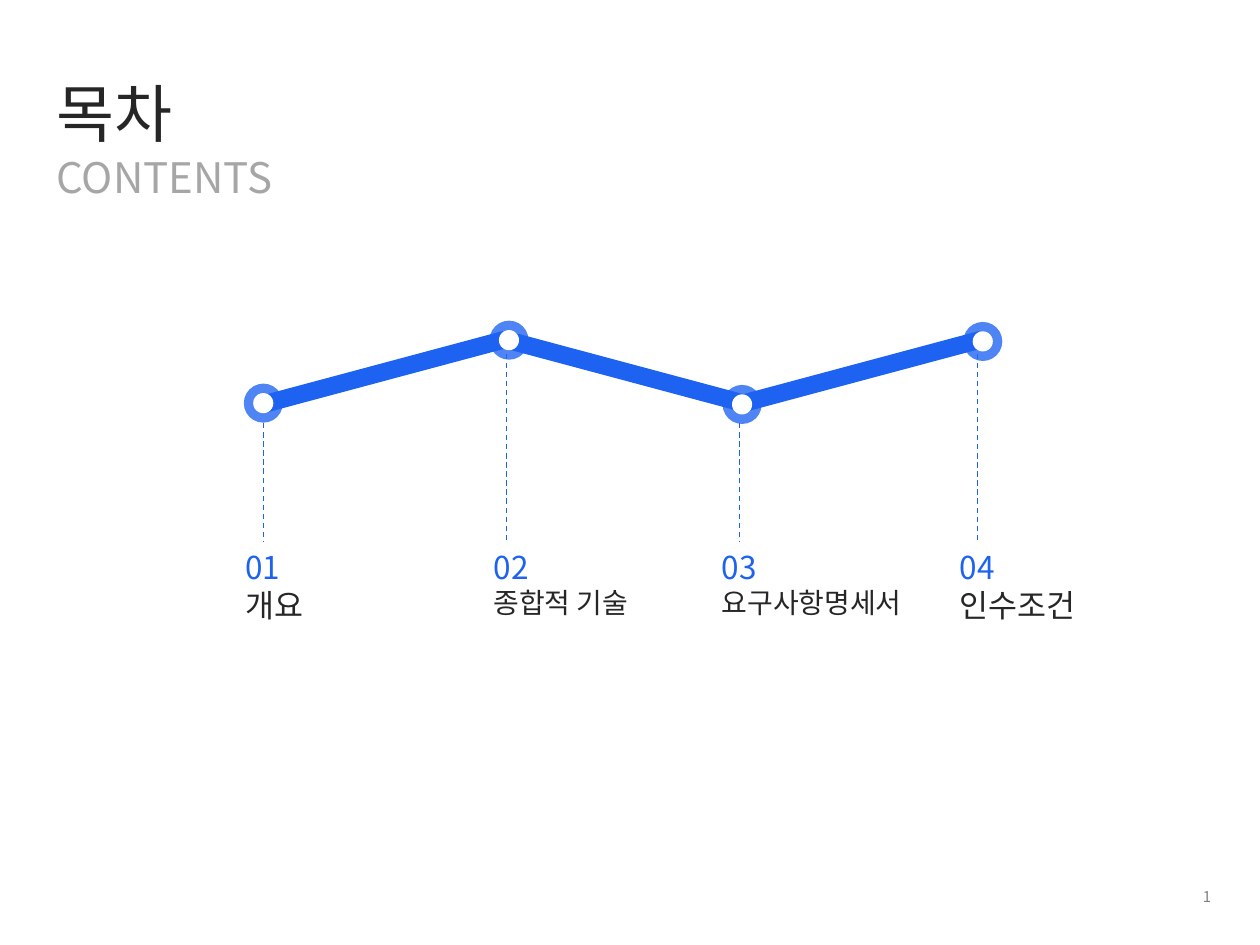
"""Build a contents slide with a zigzag timeline of four chapters."""
import pptx
import pptx.dml.color
import pptx.enum.dml
import pptx.enum.shapes
import pptx.enum.text
import pptx.oxml.ns
import pptx.util
from lxml import etree

Inches = pptx.util.Inches
RGBColor = pptx.dml.color.RGBColor
SHAPE = pptx.enum.shapes.MSO_SHAPE
ALIGN = pptx.enum.text.PP_ALIGN
ANCHOR = pptx.enum.text.MSO_ANCHOR
qn = pptx.oxml.ns.qn

BLUE = RGBColor(0x1D, 0x62, 0xF0)
WHITE = RGBColor(0xFF, 0xFF, 0xFF)
DARK = RGBColor(0x26, 0x26, 0x26)
SILVER = RGBColor(0xA6, 0xA6, 0xA6)
GRAY = RGBColor(0x80, 0x80, 0x80)
FONT = "Noto Sans CJK KR"

HEADINGS = [
    ("목차", 36, DARK, (0.35, 0.54, 7.56, 0.71)),
    ("CONTENTS", 24, SILVER, (0.35, 1.15, 7.56, 0.5)),
]
CHAPTERS = [
    {"title": "개요", "size": 18, "node": (2.09, 3.2), "stem": (2.09, 3.36), "label": (1.85, 1.73, 0.71)},
    {"title": "종합적 기술", "size": 16, "node": (4.04, 2.7), "stem": (4.02, 2.81), "label": (3.82, 1.73, 0.67)},
    {"title": "요구사항명세서", "size": 16, "node": (5.89, 3.21), "stem": (5.87, 3.36), "label": (5.63, 1.89, 0.67)},
    {"title": "인수조건", "size": 18, "node": (7.8, 2.71), "stem": (7.76, 2.81), "label": (7.52, 1.73, 0.71)},
]
BAR_LEFTS = [2.07, 3.98, 5.85]
BAR_TOP, BAR_WIDTH, BAR_HEIGHT, BAR_TILT = 2.88, 1.97, 0.14, 15
RING, HOLE = 0.31, 0.16
LABEL_TOP = 4.3


def add_text(page, place, lines, align=ALIGN.LEFT, anchor=ANCHOR.TOP):
    box = page.shapes.add_textbox(*map(Inches, place))
    frame = box.text_frame
    frame.word_wrap = True
    frame.vertical_anchor = anchor
    frame.text = "\n".join(text for text, size, color in lines)
    for para, (text, size, color) in zip(frame.paragraphs, lines):
        para.alignment = align
        span = para.runs[0]
        span.font.size = pptx.util.Pt(size)
        span.font.name = FONT
        span.font.color.rgb = color
        east_asian = etree.SubElement(span._r.get_or_add_rPr(), qn("a:ea"))
        east_asian.set("typeface", FONT)


def add_solid(page, kind, place, color):
    shape = page.shapes.add_shape(kind, *map(Inches, place))
    shape.shadow.inherit = False
    shape.fill.solid()
    shape.fill.fore_color.rgb = color
    shape.line.fill.background()
    return shape


def add_disc(page, center, size, color):
    x, y = center
    return add_solid(page, SHAPE.OVAL, (x - size / 2, y - size / 2, size, size), color)


def add_stem(page, x, top):
    ends = map(Inches, (x, top, x, LABEL_TOP))
    stem = page.shapes.add_connector(pptx.enum.shapes.MSO_CONNECTOR.STRAIGHT, *ends)
    stem.line.color.rgb = BLUE
    stem.line.width = pptx.util.Pt(0.75)
    stem.line.dash_style = pptx.enum.dml.MSO_LINE.DASH
    etree.SubElement(stem._element.spPr, qn("a:effectLst"))


deck = pptx.Presentation()
deck.slide_width, deck.slide_height = Inches(10), Inches(7.5)
page = deck.slides.add_slide(deck.slide_layouts[6])

for text, size, color, place in HEADINGS:
    add_text(page, place, [(text, size, color)])

for index, left in enumerate(BAR_LEFTS):
    bar = add_solid(page, SHAPE.RECTANGLE, (left, BAR_TOP, BAR_WIDTH, BAR_HEIGHT), BLUE)
    bar.rotation = BAR_TILT if index % 2 else 360 - BAR_TILT

for number, chapter in enumerate(CHAPTERS, 1):
    add_stem(page, *chapter["stem"])
    ring = add_disc(page, chapter["node"], RING, BLUE)
    ring_color = ring._element.spPr.find(qn("a:solidFill"))[0]
    etree.SubElement(ring_color, qn("a:alpha")).set("val", "78000")
    add_disc(page, chapter["node"], HOLE, WHITE)
    left, width, height = chapter["label"]
    lines = [(f"{number:02}", 18, BLUE), (chapter["title"], chapter["size"], DARK)]
    add_text(page, (left, LABEL_TOP, width, height), lines)

add_text(page, (7.6, 6.98, 2.11, 0.27), [("1", 8.5, GRAY)], ALIGN.RIGHT, ANCHOR.MIDDLE)

deck.save("out.pptx")
